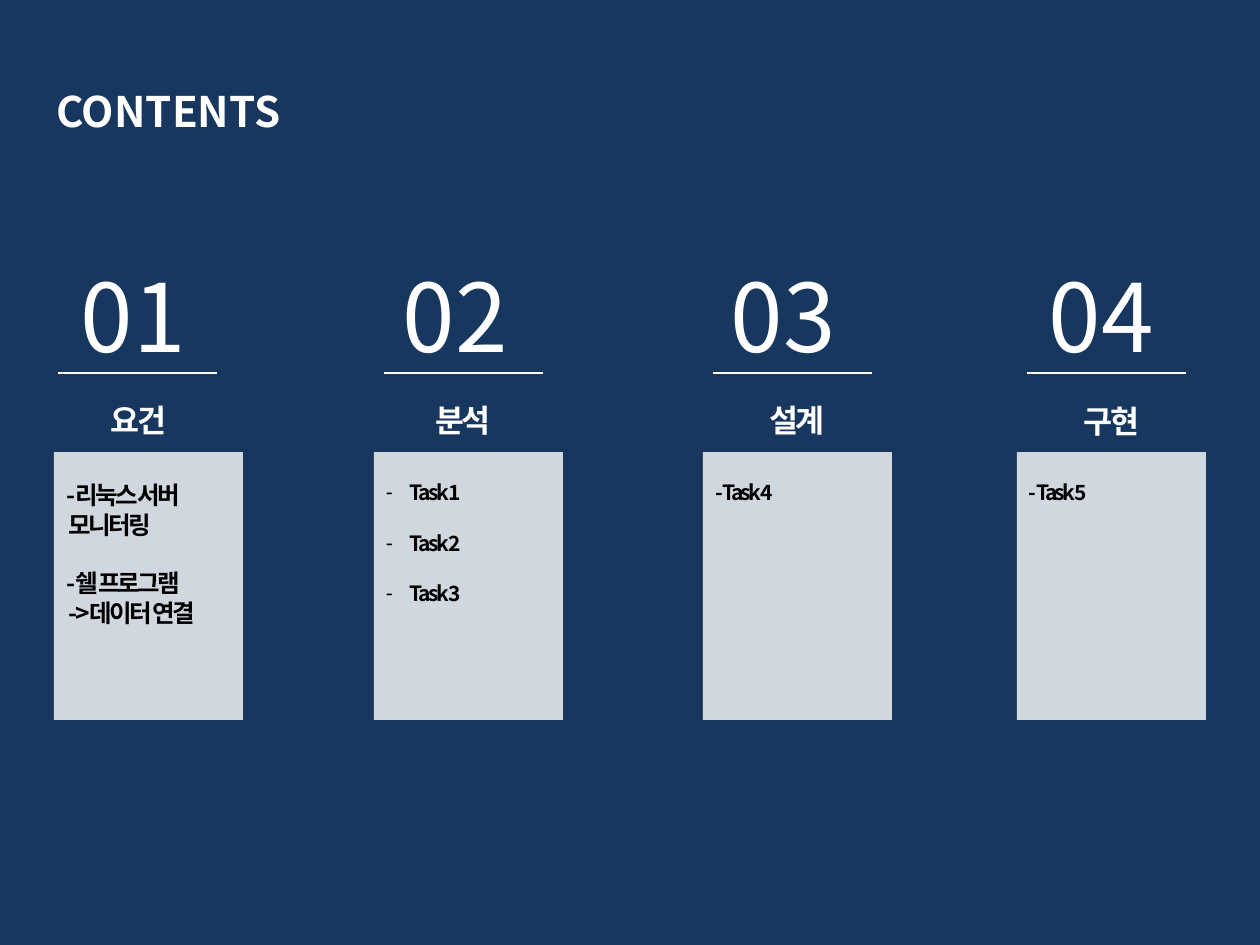
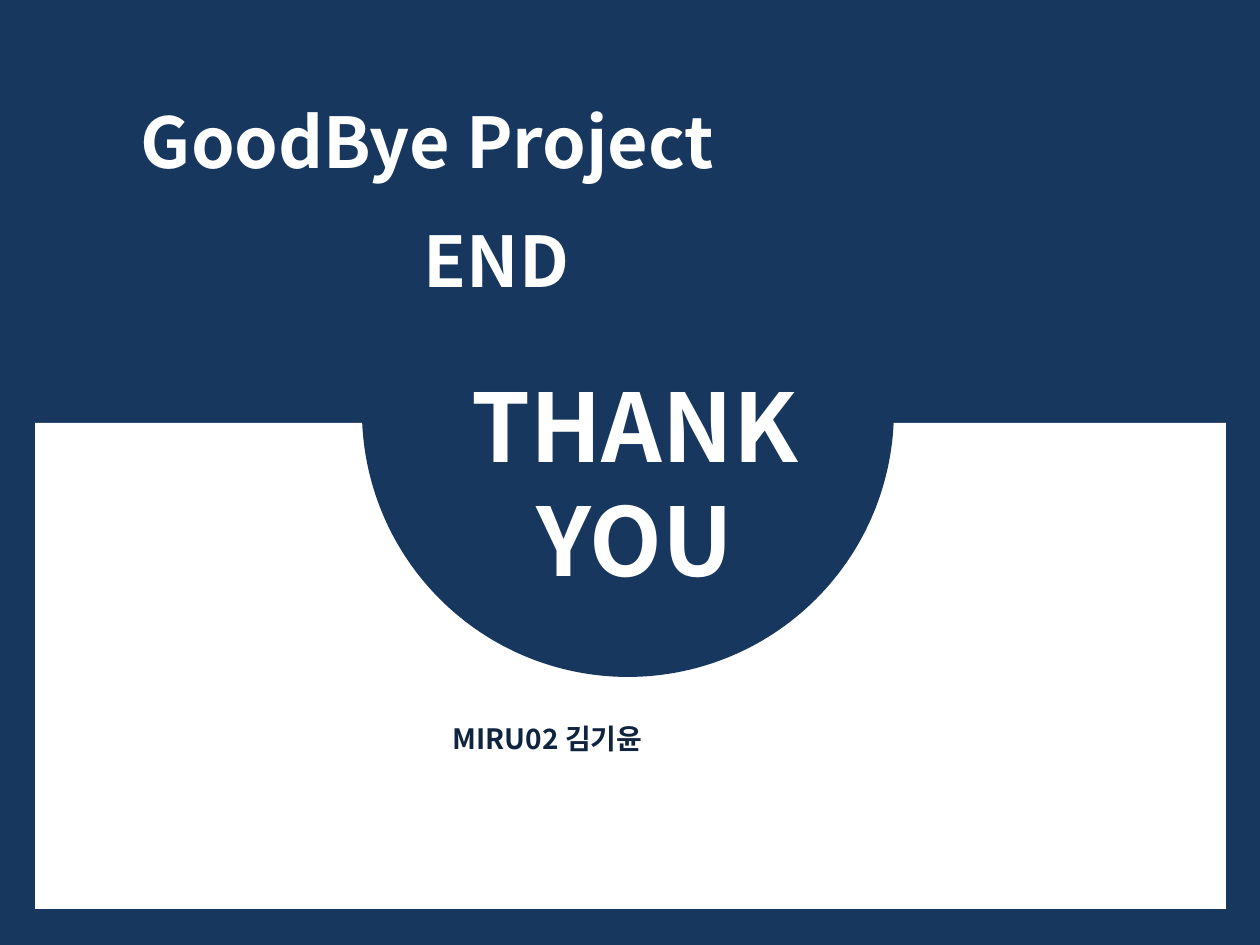
"""Build a contents slide with four task cards and a closing slide."""
from dataclasses import dataclass
from typing import Optional

from lxml.etree import SubElement
from pptx import Presentation
from pptx.dml.color import RGBColor
from pptx.enum.shapes import MSO_CONNECTOR, MSO_SHAPE
from pptx.enum.text import MSO_ANCHOR, MSO_AUTO_SIZE, PP_ALIGN
from pptx.oxml.ns import qn
from pptx.util import Emu, Pt

NAVY = RGBColor(0x17, 0x37, 0x5E)
INK = RGBColor(0x0F, 0x24, 0x3E)
WHITE = RGBColor(0xFF, 0xFF, 0xFF)
BLACK = RGBColor(0, 0, 0)
FONT = "Noto Sans CJK KR"
LABEL_FONT = "Arial"
PIXEL = 9144000 / 1260
LINE_HEIGHT = 1.2
ASCENT_SHIFT = 0.09
INSET = 6
DASH_INDENT = 24
TIGHT = -1.5
CARD_TOP, CARD_WIDTH, CARD_HEIGHT = 452, 189, 268
RULE_TOP, RULE_WIDTH = 373, 159


@dataclass(frozen=True)
class Box:
    """Place and size in pixels."""
    left: int
    top: int
    width: int
    height: int


@dataclass(frozen=True)
class Card:
    """One numbered section with its heading and list of tasks."""
    left: int
    number_left: int
    rule_left: int
    label: str
    label_box: Box
    items: tuple[str, ...]
    list_height: int = 38
    size: int = 12
    gaps: tuple[int, ...] = ()
    dashes: bool = False


CARDS = (
    Card(54, 69, 58, "요건", Box(44, 392, 189, 50),
         ("-리눅스 서버", " 모니터링", "-쉘 프로그램", " ->데이터 연결"), 161, 14, (2,)),
    Card(374, 391, 384, "분석", Box(349, 392, 228, 50),
         ("Task 1", "Task 2", "Task 3"), 165, gaps=(1, 2), dashes=True),
    Card(703, 719, 713, "설계", Box(683, 392, 228, 50), ("- Task 4",)),
    Card(1017, 1037, 1027, "구현", Box(1047, 393, 129, 50), ("- Task 5",)),
)


def px(length: float) -> Emu:
    """Turn pixels into EMU."""
    return Emu(round(length * PIXEL))


def place(shape, box: Box) -> None:
    """Move and size a shape."""
    shape.left, shape.top = px(box.left), px(box.top)
    shape.width, shape.height = px(box.width), px(box.height)


def set_bullet(para, dash: bool) -> None:
    """Give a paragraph a hanging dash, or no bullet at all."""
    properties = para._p.get_or_add_pPr()
    indent = px(DASH_INDENT) if dash else 0
    properties.set("marL", str(indent))
    properties.set("indent", str(-indent))
    if dash:
        SubElement(properties, qn("a:buChar"), char="-")
    else:
        SubElement(properties, qn("a:buNone"))


def write(slide, box: Box, *lines: str, holder=None, size: int = 54,
          color: RGBColor = WHITE, bold: bool = True, font: str = FONT,
          align: PP_ALIGN = PP_ALIGN.LEFT, spacing: float = 0,
          gaps: tuple[int, ...] = (), dashes: bool = False) -> None:
    """Write lines into a placeholder brought to the front, or a new text box."""
    shape = holder or slide.shapes.add_textbox(0, 0, 0, 0)
    if holder:
        slide.shapes._spTree.append(holder._element)
    place(shape, box)
    frame = shape.text_frame
    frame.word_wrap = True
    frame.auto_size = MSO_AUTO_SIZE.NONE
    frame.vertical_anchor = MSO_ANCHOR.TOP
    frame.margin_left = frame.margin_right = px(2 * INSET)
    frame.margin_top = px(INSET) + Pt(size * ASCENT_SHIFT)
    frame.margin_bottom = px(INSET)
    for index, line in enumerate(lines):
        para = frame.add_paragraph() if index else frame.paragraphs[0]
        para.alignment = align
        para.line_spacing = Pt(size * LINE_HEIGHT)
        para.space_before = Pt(size * LINE_HEIGHT if index in gaps else 0)
        para.space_after = Pt(0)
        set_bullet(para, dashes)
        span = para.add_run()
        span.text = line
        span.font.size, span.font.bold = Pt(size), bold
        span.font.name, span.font.color.rgb = font, color
        properties = span._r.get_or_add_rPr()
        properties.set("spc", str(round(spacing * 100)))
        SubElement(properties, qn("a:ea"), typeface=FONT)


def add_panel(slide, kind: MSO_SHAPE, box: Box, color: RGBColor,
              opacity: Optional[int] = None) -> None:
    """Draw a filled shape without outline or shadow."""
    panel = slide.shapes.add_shape(kind, 0, 0, 0, 0)
    place(panel, box)
    panel.shadow.inherit = False
    panel.line.fill.background()
    panel.fill.solid()
    panel.fill.fore_color.rgb = color
    if opacity is not None:
        tint = panel._element.spPr.find(qn("a:solidFill"))[0]
        SubElement(tint, qn("a:alpha"), val=str(opacity * 1000))


def add_rule(slide, left: int) -> None:
    """Draw the thin line under a section number."""
    rule = slide.shapes.add_connector(
        MSO_CONNECTOR.STRAIGHT, px(left), px(RULE_TOP), px(left + RULE_WIDTH), px(RULE_TOP))
    rule.line.color.rgb = WHITE
    rule.line.width = Pt(0.75)
    SubElement(rule._element.spPr, qn("a:effectLst"))


def add_card(slide, number: int, card: Card, holder) -> None:
    """Draw one section: number, rule, heading, panel and list."""
    add_panel(slide, MSO_SHAPE.RECTANGLE,
              Box(card.left, CARD_TOP, CARD_WIDTH, CARD_HEIGHT), WHITE, opacity=80)
    write(slide, Box(card.number_left, 244, 179, 127), f"{number:02}", bold=False)
    add_rule(slide, card.rule_left)
    write(slide, card.label_box, card.label, size=18, font=LABEL_FONT,
          align=PP_ALIGN.CENTER, spacing=TIGHT)
    write(slide, Box(card.left, 472, CARD_WIDTH, card.list_height), *card.items,
          holder=holder, size=card.size, color=BLACK, spacing=TIGHT,
          gaps=card.gaps, dashes=card.dashes)


def add_slide(deck, layout: str):
    """Add a slide with the navy background."""
    slide = deck.slides.add_slide(deck.slide_layouts.get_by_name(layout))
    slide.background.fill.solid()
    slide.background.fill.fore_color.rgb = NAVY
    return slide


def build_contents(deck) -> None:
    """Build the contents slide."""
    slide = add_slide(deck, "Comparison")
    title, *bodies = list(slide.placeholders)
    write(slide, Box(44, 76, 576, 63), "CONTENTS", holder=title, size=24)
    for number, (card, body) in enumerate(zip(CARDS, bodies), start=1):
        add_card(slide, number, card, body)


def build_closing(deck) -> None:
    """Build the closing slide."""
    slide = add_slide(deck, "Title Only")
    add_panel(slide, MSO_SHAPE.RECTANGLE, Box(35, 423, 1191, 486), WHITE)
    add_panel(slide, MSO_SHAPE.OVAL, Box(362, 145, 532, 532), NAVY)
    write(slide, Box(129, 86, 1002, 97), "GoodBye Project",
          holder=slide.shapes.title, size=40)
    write(slide, Box(412, 205, 436, 97), "END", size=40)
    write(slide, Box(372, 354, 525, 242), "THANK", "YOU", align=PP_ALIGN.CENTER)
    write(slide, Box(441, 713, 377, 47), "MIRU02 김기윤", size=16, color=INK)


def main() -> None:
    """Build and save the deck."""
    deck = Presentation()
    deck.slide_width, deck.slide_height = px(1260), px(945)
    build_contents(deck)
    build_closing(deck)
    deck.save("out.pptx")


main()
